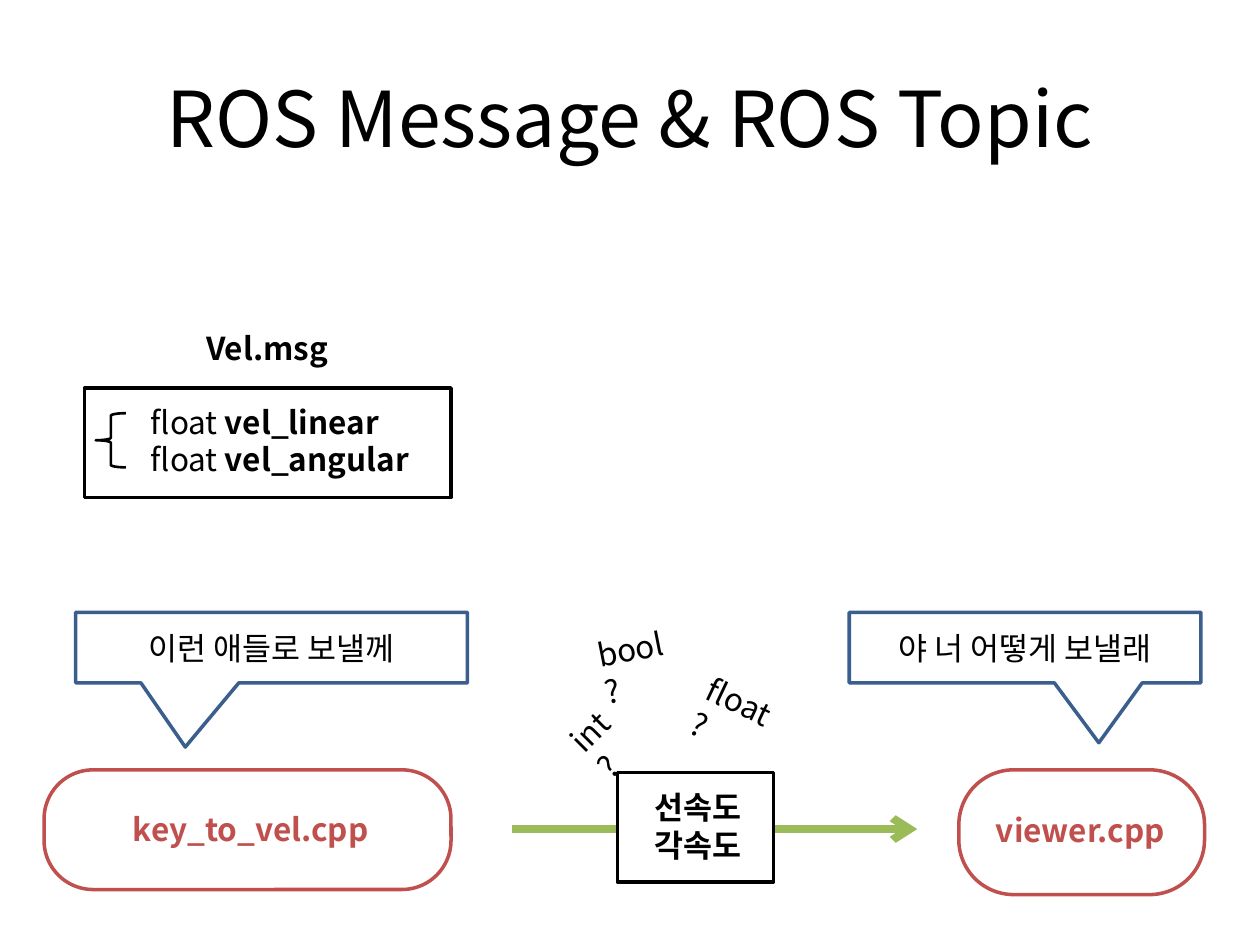
"""Build the slide on ROS messages and topics on a grid of 100 columns by 75 rows."""
from lxml import etree
from pptx import Presentation
from pptx import util as u
from pptx.dml.color import RGBColor
from pptx.enum import shapes, text
from pptx.oxml import ns

COLORS = {"ink": "000000", "paper": "FFFFFF", "bubble": "3A5F8C",
          "node": "C0504D", "topic": "9BBB59"}
FONT = "Noto Sans CJK KR"
COLUMNS, ROWS = 100, 75
CELL = u.Inches(0.1)
KIND = shapes.MSO_SHAPE
CENTER, LEFT = text.PP_ALIGN.CENTER, text.PP_ALIGN.LEFT
MIDDLE, TOP = text.MSO_ANCHOR.MIDDLE, text.MSO_ANCHOR.TOP


def color(name):
    """Return the palette colour of that name."""
    return RGBColor.from_string(COLORS[name])


def cells(*counts):
    """Turn grid counts into lengths."""
    return [round(count * CELL) for count in counts]


def write(box, lines, tint="ink", size=18, align=CENTER, anchor=MIDDLE):
    """Write lines, each a list of (words, bold) runs, into a box."""
    frame = box.text_frame
    frame.word_wrap = True
    frame.vertical_anchor = anchor
    for index, line in enumerate(lines):
        para = frame.paragraphs[0] if index == 0 else frame.add_paragraph()
        para.alignment = align
        for words, bold in line:
            span = para.add_run()
            span.text = words
            span.font.name = FONT
            span.font.size = u.Pt(size)
            span.font.bold = bold
            span.font.color.rgb = color(tint)
            properties = span.font._element
            etree.SubElement(properties, ns.qn("a:ea"), typeface=FONT)


def add_label(page, area, lines, turn=0, **style):
    """Add a text box, turned clockwise by some degrees."""
    box = page.shapes.add_textbox(*cells(*area))
    box.rotation = turn
    write(box, lines, **style)


def add_outline(page, kind, area, line, width=2, fill=None, adjust=()):
    """Add an outlined preset shape, filled only when a fill is named."""
    shape = page.shapes.add_shape(kind, *cells(*area))
    shape.shadow.inherit = False
    for index, value in enumerate(adjust):
        shape.adjustments[index] = value
    if fill:
        shape.fill.solid()
        shape.fill.fore_color.rgb = color(fill)
    else:
        shape.fill.background()
    shape.line.color.rgb = color(line)
    shape.line.width = u.Pt(width)
    return shape


def add_callout(page, area, tip, words):
    """Add a speech bubble whose tip is given as shares of its size."""
    bubble = add_outline(page, KIND.RECTANGULAR_CALLOUT, area, "bubble",
                         fill="paper", adjust=tip)
    write(bubble, [[(words, False)]])


def add_node(page, area, rounding, label_area, name):
    """Add a rounded node and its file name."""
    add_outline(page, KIND.ROUNDED_RECTANGLE, area, "node", adjust=[rounding])
    add_label(page, label_area, [[(name, True)]], tint="node")


def add_arrow(page, start, end):
    """Add the topic arrow between two grid points."""
    arrow = page.shapes.add_connector(
        shapes.MSO_CONNECTOR.STRAIGHT, *cells(*start, *end))
    arrow.line.color.rgb = color("topic")
    arrow.line.width = u.Pt(4.5)
    etree.SubElement(arrow.line._get_or_add_ln(), ns.qn("a:tailEnd"), type="arrow")
    etree.SubElement(arrow._element.spPr, ns.qn("a:effectLst"))


def add_message(page):
    """Add the message definition with its fields."""
    add_label(page, (15.1, 26.5, 12.2, 2.3), [[("Vel.msg", True)]])
    add_outline(page, KIND.RECTANGLE, (6.7, 30.8, 29.1, 8.7), "ink")
    add_outline(page, KIND.LEFT_BRACE, (7.6, 32.8, 2.4, 4.3), "ink", width=1.5)
    fields = [[("float ", False), (name, True)]
              for name in ("vel_linear", "vel_angular")]
    add_label(page, (11, 32.5, 25.3, 4.9), fields, align=LEFT)


def add_topic(page):
    """Add the topic arrow, its payload and the guesses at its type."""
    add_arrow(page, (40.6, 65.8), (72.8, 65.8))
    add_outline(page, KIND.RECTANGLE, (49, 61.3, 12.4, 8.7), "ink", fill="paper")
    add_label(page, (50.6, 63.1, 9.6, 4.9), [[("선속도", True)], [("각속도", True)]])
    for words, area, turn in (("int?", (44.1, 55.7, 6.1, 4), 315),
                              ("float?", (55, 53.9, 8.2, 4), 25.4),
                              ("bool?", (46.4, 49.4, 8.3, 4), 348.9)):
        add_label(page, area, [[(words, False)]], turn=turn, align=LEFT, anchor=TOP)


def main():
    """Build and save the deck."""
    deck = Presentation()
    deck.slide_width, deck.slide_height = cells(COLUMNS, ROWS)
    page = deck.slides.add_slide(deck.slide_layouts[6])
    add_label(page, (5, 3, 90, 12.5), [[("ROS Message & ROS Topic", False)]], size=44)
    add_callout(page, (6, 48.6, 31.1, 5.6), (-0.22, 1.41), "이런 애들로 보낼께")
    add_node(page, (3.5, 61.1, 32.3, 9.5), 0.41, (3.8, 61.1, 32.2, 9.4), "key_to_vel.cpp")
    add_node(page, (76.1, 61.1, 19.5, 9.9), 0.44, (77.9, 61.2, 15.7, 9.4), "viewer.cpp")
    add_topic(page)
    add_callout(page, (67.4, 48.6, 27.9, 5.6), (0.21, 1.35), "야 너 어떻게 보낼래")
    add_message(page)
    deck.save("out.pptx")


if __name__ == "__main__":
    main()
